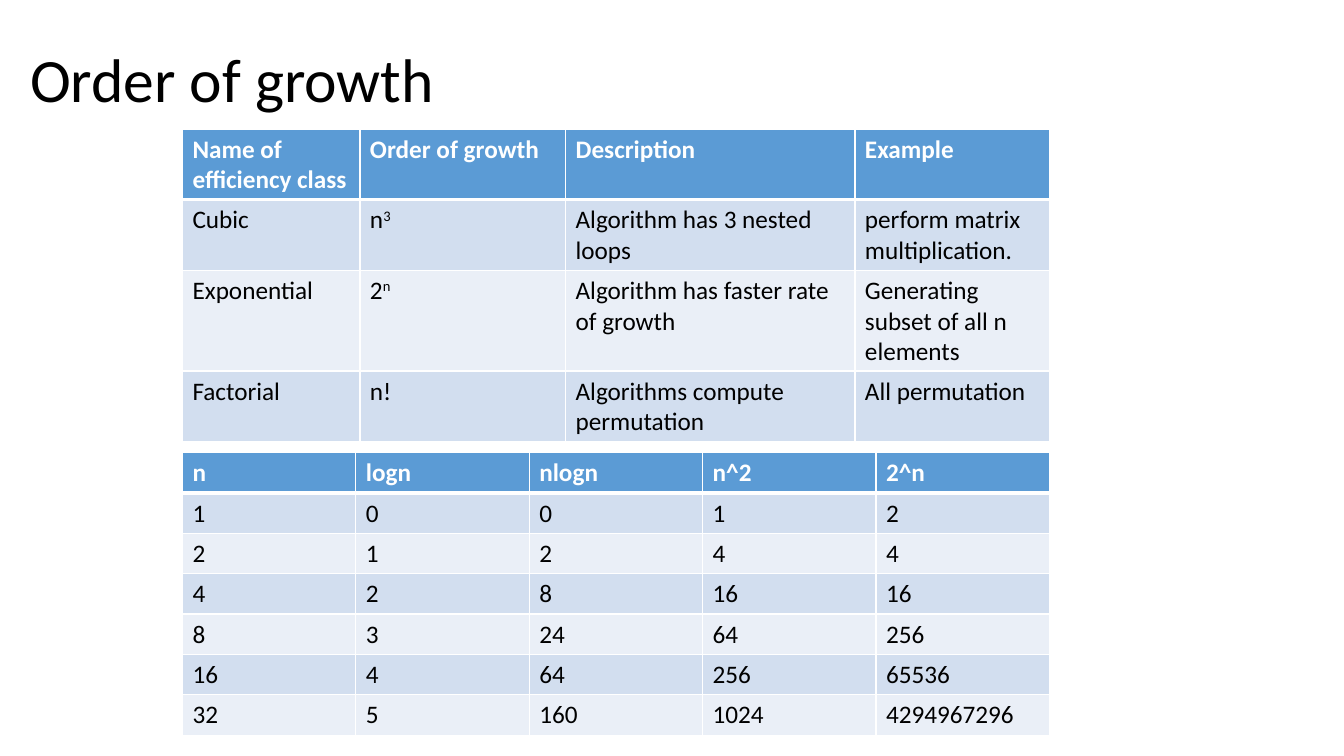
from dataclasses import dataclass

from lxml import etree
from pptx import Presentation
from pptx import util as u
from pptx.dml.color import RGBColor
from pptx.enum import text
from pptx.oxml.ns import qn

PX = 9144  # 100 px to the inch
FONT = "Calibri"
BLACK, WHITE = "000000", "FFFFFF"
HEADER, BANDS = "5B9BD5", ("D2DEEF", "EAEFF7")


@dataclass
class Superscript:
    base: str
    power: str


@dataclass
class Grid:
    left: int
    top: int
    widths: list[int]
    row_height: int
    rows: list[list[str | Superscript]]


GRIDS = [
    Grid(181, 128, [176, 204, 287, 193], 41, [
        ["Name of efficiency class", "Order of growth", "Description", "Example"],
        ["Cubic", Superscript("n", "3"), "Algorithm has 3 nested loops",
         "perform matrix multiplication."],
        ["Exponential", Superscript("2", "n"), "Algorithm has faster rate of growth",
         "Generating subset of all n elements"],
        ["Factorial", "n!", "Algorithms compute permutation", "All permutation"],
    ]),
    Grid(181, 449, [172] * 5, 39, [
        ["n", "logn", "nlogn", "n^2", "2^n"],
        ["1", "0", "0", "1", "2"],
        ["2", "1", "2", "4", "4"],
        ["4", "2", "8", "16", "16"],
        ["8", "3", "24", "64", "256"],
        ["16", "4", "64", "256", "65536"],
        ["32", "5", "160", "1024", "4294967296"],
    ]),
]


def px(n: int) -> u.Emu:
    return u.Emu(n * PX)


def rgb(color: str) -> RGBColor:
    return RGBColor.from_string(color)


def add_run(p, words: str, *, size: int = 18, color: str = BLACK,
            bold: bool = False, raised: bool = False) -> None:
    r = p.add_run()
    r.text = words
    f = r.font
    f.name, f.size, f.bold = FONT, u.Pt(size), bold
    f.color.rgb = rgb(color)
    if raised:
        r._r.get_or_add_rPr().set("baseline", "30000")


def add_border(cell, side: str, points: int) -> None:
    ln = etree.SubElement(cell._tc.get_or_add_tcPr(), qn(f"a:ln{side}"),
                          w=str(u.Pt(points)))
    fill = etree.SubElement(ln, qn("a:solidFill"))
    etree.SubElement(fill, qn("a:srgbClr"), val=WHITE)


def fill_cell(cell, content: str | Superscript, row: int) -> None:
    head = row == 0
    # Borders come before the fill in the cell properties
    thick = {0: "B", 1: "T"}.get(row)
    for side in "LRTB":
        add_border(cell, side, 3 if side == thick else 1)
    cell.fill.solid()
    cell.fill.fore_color.rgb = rgb(HEADER if head else BANDS[(row - 1) % 2])
    p = cell.text_frame.paragraphs[0]
    if isinstance(content, Superscript):
        add_run(p, content.base)
        add_run(p, content.power, raised=True)
    else:
        add_run(p, content, color=WHITE if head else BLACK, bold=head)


def add_grid(s, g: Grid) -> None:
    table = s.shapes.add_table(
        len(g.rows), len(g.widths), px(g.left), px(g.top),
        px(sum(g.widths)), px(g.row_height * len(g.rows))).table
    for column, width in zip(table.columns, g.widths):
        column.width = px(width)
    for i, row in enumerate(g.rows):
        table.rows[i].height = px(g.row_height)
        for j, content in enumerate(row):
            fill_cell(table.cell(i, j), content, i)


def add_title(s, words: str) -> None:
    tf = s.shapes.add_textbox(px(20), px(9), px(1150), px(145)).text_frame
    tf.word_wrap = True
    tf.vertical_anchor = text.MSO_ANCHOR.MIDDLE
    p = tf.paragraphs[0]
    p.line_spacing = 0.9
    add_run(p, words, size=44)


def main() -> None:
    prs = Presentation()
    prs.slide_width, prs.slide_height = px(1333), px(750)
    s = prs.slides.add_slide(prs.slide_layouts[6])

    # Title
    add_title(s, "Order of growth")

    # Efficiency classes, then growth values
    for g in GRIDS:
        add_grid(s, g)

    prs.save("out.pptx")


if __name__ == "__main__":
    main()
